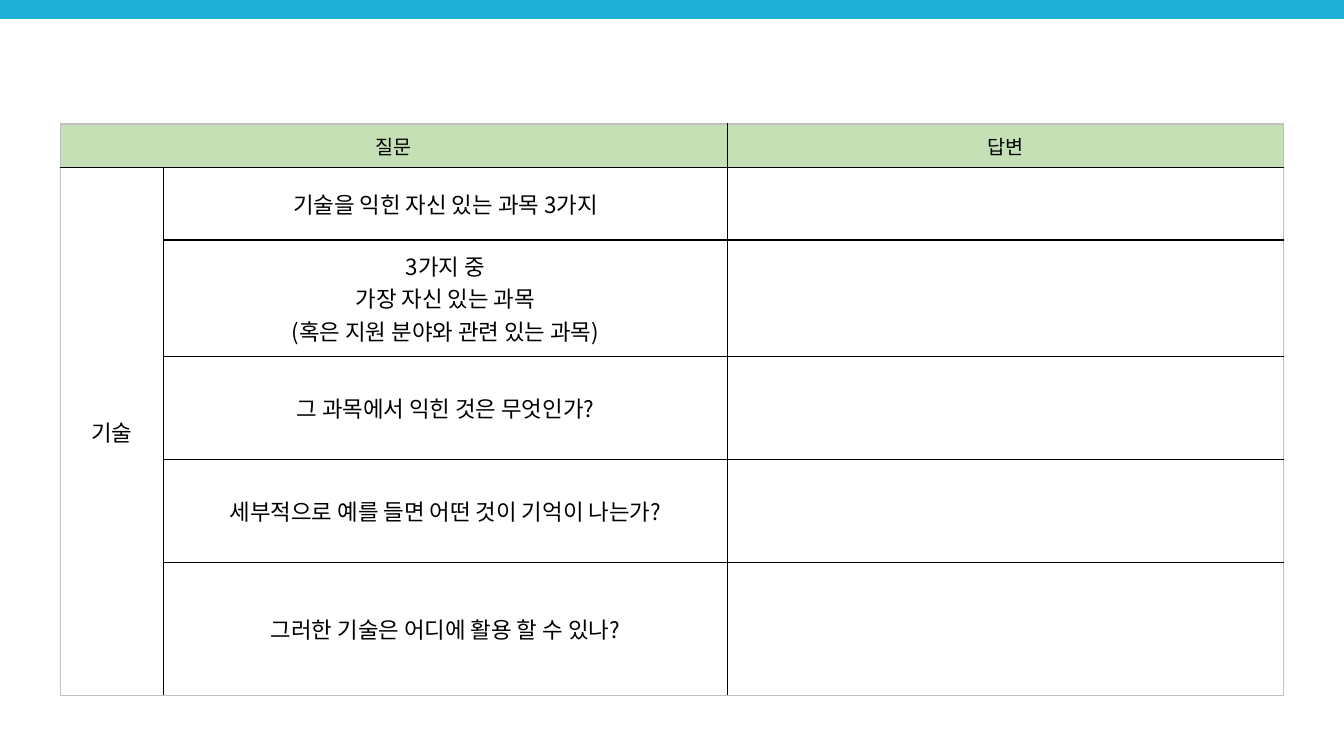
from dataclasses import dataclass

from lxml.etree import SubElement
from pptx import Presentation
from pptx.dml.color import RGBColor
from pptx.enum.shapes import MSO_SHAPE
from pptx.enum.text import MSO_ANCHOR, PP_ALIGN
from pptx.oxml.ns import qn
from pptx.util import Inches, Pt


@dataclass(frozen=True)
class Theme:
    font: str = "Noto Sans CJK KR"
    ink: str = "000000"
    band: str = "21B0D8"
    header: str = "C5E0B4"
    frame: str = "BFBFBF"
    header_size: int = 14
    body_size: int = 16
    rule: float = 1


class Sheet:
    def __init__(self, deck, theme):
        self.deck = deck
        self.theme = theme
        self.slide = deck.slides.add_slide(deck.slide_layouts[6])

    def area(self, left, top, width, height):
        across, down = self.deck.slide_width, self.deck.slide_height
        return [int(share * full) for share, full in
                zip((left, top, width, height), (across, down, across, down))]

    def band(self, *shares):
        strip = self.slide.shapes.add_shape(MSO_SHAPE.RECTANGLE, *self.area(*shares))
        strip.shadow.inherit = False
        strip.fill.solid()
        strip.fill.fore_color.rgb = RGBColor.from_string(self.theme.band)
        strip.line.fill.background()

    def label(self, cell, lines, size):
        cell.vertical_anchor = MSO_ANCHOR.MIDDLE
        for index, line in enumerate(lines):
            frame = cell.text_frame
            paragraph = frame.add_paragraph() if index else frame.paragraphs[0]
            paragraph.alignment = PP_ALIGN.CENTER
            run = paragraph.add_run()
            run.text = line
            run.font.size = Pt(size)
            run.font.name = self.theme.font
            run.font.color.rgb = RGBColor.from_string(self.theme.ink)
            SubElement(run.font._element, qn("a:ea"), typeface=self.theme.font)

    def border(self, cell, outer_edges):
        properties = cell._tc.get_or_add_tcPr()
        for side, outer in zip("LRTB", outer_edges):
            line = SubElement(properties, qn(f"a:ln{side}"), w=str(Pt(self.theme.rule)))
            paint = SubElement(line, qn("a:solidFill"))
            SubElement(paint, qn("a:srgbClr"), val=self.theme.frame if outer else self.theme.ink)

    def table(self, shares, columns, rows, merges, texts):
        left, top, width, height = self.area(*shares)
        table = self.slide.shapes.add_table(
            len(rows), len(columns), left, top, width, height).table
        table.first_row = table.horz_banding = False
        for column, weight in zip(table.columns, columns):
            column.width = int(width * weight / sum(columns))
        for row, weight in zip(table.rows, rows):
            row.height = int(height * weight / sum(rows))
        for first, last in merges:
            table.cell(*first).merge(table.cell(*last))
        for r in range(len(rows)):
            for c in range(len(columns)):
                cell = table.cell(r, c)
                start, end = next(
                    ((a, b) for a, b in merges
                     if a[0] <= r <= b[0] and a[1] <= c <= b[1]), ((r, c), (r, c)))
                self.border(cell, (start[1] == 0, end[1] == len(columns) - 1,
                                   start[0] == 0, end[0] == len(rows) - 1))
                if r == 0:
                    cell.fill.solid()
                    cell.fill.fore_color.rgb = RGBColor.from_string(self.theme.header)
                else:
                    cell.fill.background()
                size = self.theme.body_size if r else self.theme.header_size
                self.label(cell, texts.get((r, c), []), size)


deck = Presentation()
deck.slide_width, deck.slide_height = Inches(13.33), Inches(7.5)
sheet = Sheet(deck, Theme())
sheet.band(0, 0, 1, 0.025)

questions = [
    ["기술을 익힌 자신 있는 과목 3가지"],
    ["3가지 중", "가장 자신 있는 과목", "(혹은 지원 분야와 관련 있는 과목)"],
    ["그 과목에서 익힌 것은 무엇인가?"],
    ["세부적으로 예를 들면 어떤 것이 기억이 나는가?"],
    ["그러한 기술은 어디에 활용 할 수 있나?"],
]
texts = {(0, 0): ["질문"], (0, 2): ["답변"], (1, 0): ["기술"]}
texts.update({(row, 1): lines for row, lines in enumerate(questions, 1)})
sheet.table(
    (0.045, 0.164, 0.91, 0.756),
    columns=(1.02, 5.59, 5.51),
    rows=(0.43, 0.72, 1.15, 1.02, 1.02, 1.32),
    merges=[((0, 0), (0, 1)), ((1, 0), (len(questions), 0))],
    texts=texts,
)

deck.save("out.pptx")
